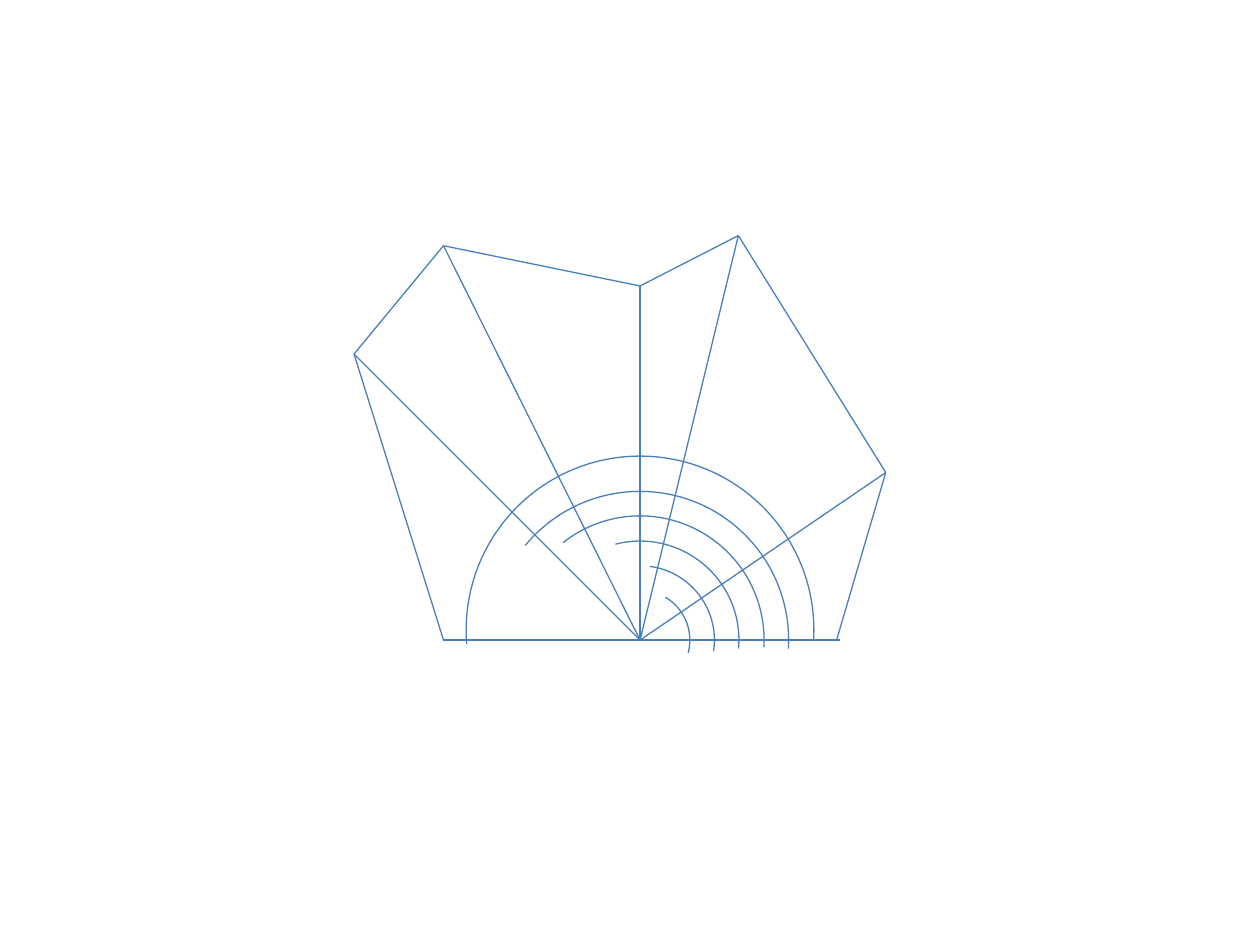
from itertools import pairwise

from lxml import etree
from pptx import Presentation
from pptx import util as u
from pptx.dml.color import RGBColor
from pptx.enum import shapes
from pptx.oxml import ns

LINE_COLOR = "4B7EBC"

# Outline corners, relative to the hub where the spokes meet
OUTLINE = [(1.56, 0), (1.95, -1.33), (0.78, -3.21), (0, -2.81),
           (-1.56, -3.13), (-2.27, -2.27), (-1.56, 0)]
BASELINE_END = (1.59, 0)

# Radius, vertical offset of the centre, start and end angle in degrees
ARCS = [(1.18, 0, 219.54, 3.31), (1.38, -0.08, 175.38, 3.31),
        (0.985, 0, 231.62, 3.31), (0.785, 0, 255.6, 5.06),
        (0.59, 0, 277.42, 8.58), (0.395, 0, 300.56, 15.09)]


def color(value):
    return RGBColor.from_string(value)


def format_line(shape):
    shape.line.color.rgb = color(LINE_COLOR)
    for name, value in {"width": u.Pt(0.75)}.items():
        setattr(shape.line, name, value)


def add_line(slide, start, end):
    ends = [u.Inches(value) for value in (*start, *end)]
    line = slide.shapes.add_connector(shapes.MSO_CONNECTOR.STRAIGHT, *ends)
    format_line(line)
    etree.SubElement(line._element.spPr, ns.qn("a:effectLst"))


def add_arc(slide, center, radius, angles):
    x, y = center
    box = [u.Inches(value) for value in (x - radius, y - radius, 2 * radius, 2 * radius)]
    arc = slide.shapes.add_shape(shapes.MSO_SHAPE.ARC, *box)
    arc.shadow.inherit = False
    arc.fill.background()
    format_line(arc)
    # Adjustments are stored in 1/100000, angles in 1/60000 degree
    for index, angle in enumerate(angles):
        arc.adjustments[index] = angle * 0.6


def add_angle_figure(slide, left, top):
    hub_x, hub_y = left + 2.27, top + 3.21

    def place(point):
        return hub_x + point[0], hub_y + point[1]

    # Baseline and outline
    add_line(slide, place(OUTLINE[-1]), place(BASELINE_END))
    for start, end in pairwise(OUTLINE):
        add_line(slide, place(start), place(end))

    # Spokes from the hub to the upper corners
    for corner in OUTLINE[1:-1]:
        add_line(slide, place((0, 0)), place(corner))

    # Angle arcs
    for radius, offset, *angles in ARCS:
        add_arc(slide, place((0, offset)), radius, angles)


presentation = Presentation()
presentation.slide_width = u.Inches(10)
presentation.slide_height = u.Inches(7.5)
slide = presentation.slides.add_slide(presentation.slide_layouts[6])
add_angle_figure(slide, 2.81, 1.87)
presentation.save("out.pptx")
